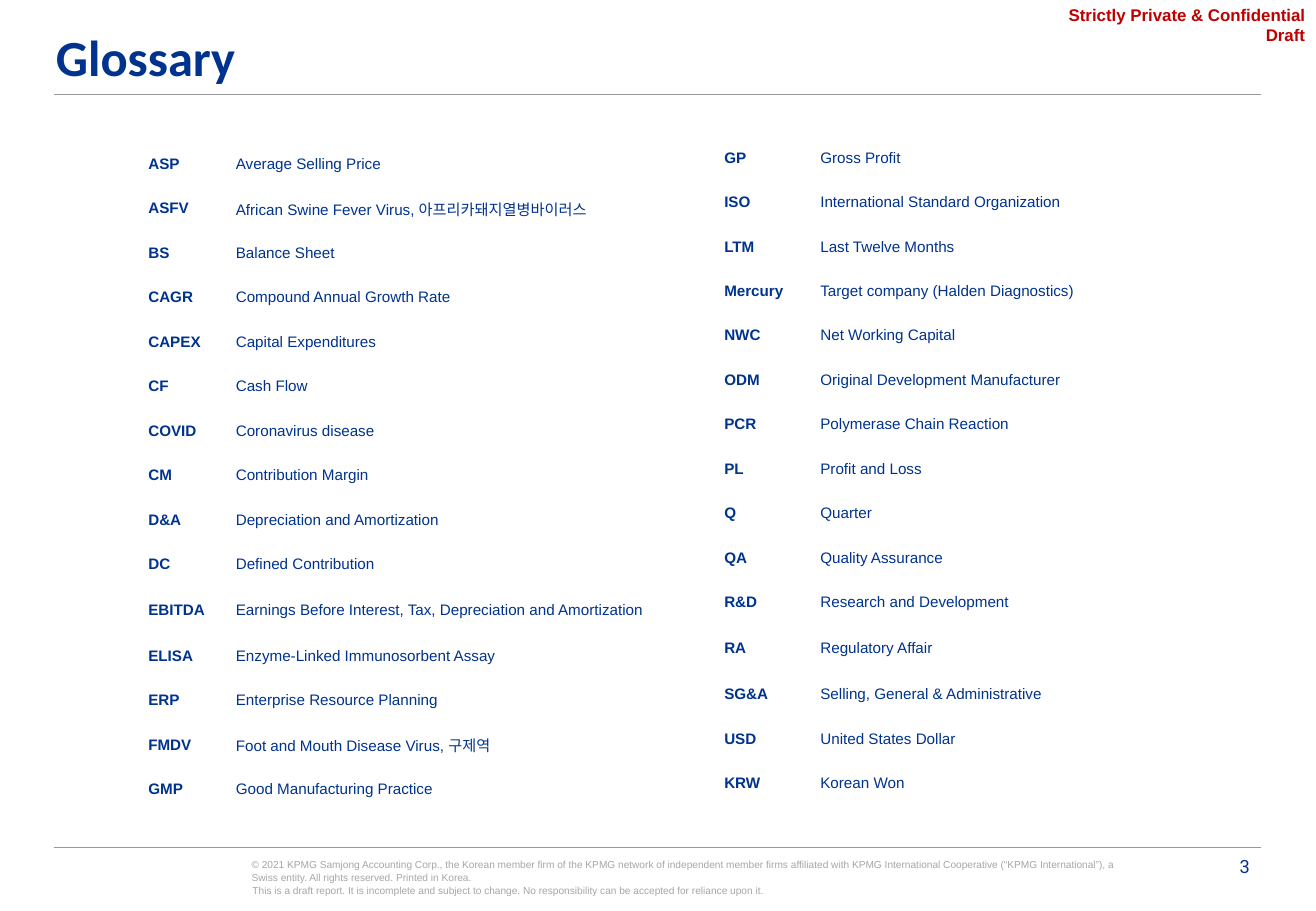
from lxml.etree import SubElement
from pptx import Presentation
from pptx.dml.color import RGBColor
from pptx.enum.shapes import MSO_CONNECTOR
from pptx.enum.text import MSO_ANCHOR, PP_ALIGN
from pptx.oxml.ns import qn
from pptx.util import Cm, Pt

NAVY = RGBColor(0x00, 0x33, 0x8D)
RED = RGBColor(0xC0, 0x00, 0x00)
GREY = RGBColor(0xA6, 0xA6, 0xA6)
RULE_GREY = RGBColor(0x97, 0x98, 0x9A)

ROW_HEIGHT = 0.93
TALL_ROW_HEIGHT = 0.99

TERMS_A_TO_G = [
    ("ASP", "Average Selling Price"),
    ("ASFV", "African Swine Fever Virus, 아프리카돼지열병바이러스"),
    ("BS", "Balance Sheet"),
    ("CAGR", "Compound Annual Growth Rate"),
    ("CAPEX", "Capital Expenditures"),
    ("CF", "Cash Flow"),
    ("COVID", "Coronavirus disease"),
    ("CM", "Contribution Margin"),
    ("D&A", "Depreciation and Amortization"),
    ("DC", "Defined Contribution"),
    ("EBITDA", "Earnings Before Interest, Tax, Depreciation and Amortization"),
    ("ELISA", "Enzyme-Linked Immunosorbent Assay"),
    ("ERP", "Enterprise Resource Planning"),
    ("FMDV", "Foot and Mouth Disease Virus, 구제역"),
    ("GMP", "Good Manufacturing Practice"),
]
TERMS_G_TO_U = [
    ("GP", "Gross Profit"),
    ("ISO", "International Standard Organization"),
    ("LTM", "Last Twelve Months"),
    ("Mercury", "Target company (Halden Diagnostics)"),
    ("NWC", "Net Working Capital"),
    ("ODM", "Original Development Manufacturer"),
    ("PCR", "Polymerase Chain Reaction"),
    ("PL", "Profit and Loss"),
    ("Q", "Quarter"),
    ("QA", "Quality Assurance"),
    ("R&D", "Research and Development"),
    ("RA", "Regulatory Affair"),
    ("SG&A", "Selling, General & Administrative"),
    ("USD", "United States Dollar"),
    ("KRW", "Korean Won"),
]
COPYRIGHT = (
    "© 2021 KPMG Samjong Accounting Corp., the Korean member firm of the KPMG network "
    "of independent member firms affiliated with KPMG International Cooperative "
    "(“KPMG International”), a Swiss entity. All rights reserved. Printed in Korea."
)
DISCLAIMER = (
    "This is a draft report. It is incomplete and subject to change. "
    "No responsibility can be accepted for reliance upon it."
)


def format_text(frame, size, color, font="Arial", bold=False, align=PP_ALIGN.LEFT):
    for paragraph in frame.paragraphs:
        paragraph.alignment = align
        for run in paragraph.runs:
            run.font.name = font
            run.font.size = Pt(size)
            run.font.bold = bold
            run.font.color.rgb = color


def add_text(text, left, top, width, height, wrap=True, **style):
    """Add a text box without margins and return its text frame."""
    frame = slide.shapes.add_textbox(Cm(left), Cm(top), Cm(width), Cm(height)).text_frame
    frame.margin_left = frame.margin_right = frame.margin_top = frame.margin_bottom = 0
    frame.word_wrap = wrap
    frame.text = text
    format_text(frame, **style)
    return frame


presentation = Presentation()
presentation.slide_width = Cm(27.51)
presentation.slide_height = Cm(19.05)
slide = presentation.slides.add_slide(presentation.slide_layouts[6])

# Page frame
add_text("3", 25.04, 17.88, 1.09, 0.41,
         size=10.8, color=NAVY, font="Roboto", align=PP_ALIGN.RIGHT)
add_text(COPYRIGHT, 5.26, 17.96, 18.29, 1.04, size=6, color=GREY)
add_text("Strictly Private & Confidential\nDraft", 19.76, 0.1, 7.52, 0.86,
         size=10, color=RED, bold=True, align=PP_ALIGN.RIGHT)
add_text(DISCLAIMER, 4.98, 18.49, 11.28, 0.25, wrap=False,
         size=6, color=GREY, align=PP_ALIGN.CENTER)

for rule_top in (1.98, 17.73):
    rule = slide.shapes.add_connector(
        MSO_CONNECTOR.STRAIGHT, Cm(1.14), Cm(rule_top), Cm(26.37), Cm(rule_top))
    rule.line.color.rgb = RULE_GREY
    rule.line.width = Pt(0.5)
    SubElement(rule._element.spPr, qn("a:effectLst"))

title = add_text("Glossary", 1.17, 0.89, 22.33, 1.88,
                 size=30, color=NAVY, font="Calibri", bold=True)
title.paragraphs[0].line_spacing = 0.7

# Glossary: terms, left, top, column widths, index of the taller row
for terms, left, top, widths, tall_row in (
    (TERMS_A_TO_G, 3.07, 2.95, (1.83, 8.86), 10),
    (TERMS_G_TO_U, 15.11, 2.82, (2.01, 7.09), 11),
):
    height = ROW_HEIGHT * (len(terms) - 1) + TALL_ROW_HEIGHT
    glossary = slide.shapes.add_table(
        len(terms), 2, Cm(left), Cm(top), Cm(sum(widths)), Cm(height)).table
    glossary.first_row = False
    glossary.horz_banding = False
    for column, width in zip(glossary.columns, widths):
        column.width = Cm(width)
    for row_index, entry in enumerate(terms):
        is_tall = row_index == tall_row
        glossary.rows[row_index].height = Cm(TALL_ROW_HEIGHT if is_tall else ROW_HEIGHT)
        for column_index, text in enumerate(entry):
            cell = glossary.cell(row_index, column_index)
            cell.fill.background()
            cell.vertical_anchor = MSO_ANCHOR.MIDDLE
            cell.margin_left = cell.margin_right = cell.margin_top = Cm(0.03)
            cell.margin_bottom = 0
            cell.text_frame.text = text
            format_text(cell.text_frame, 9, NAVY, bold=column_index == 0)

presentation.save("out.pptx")
